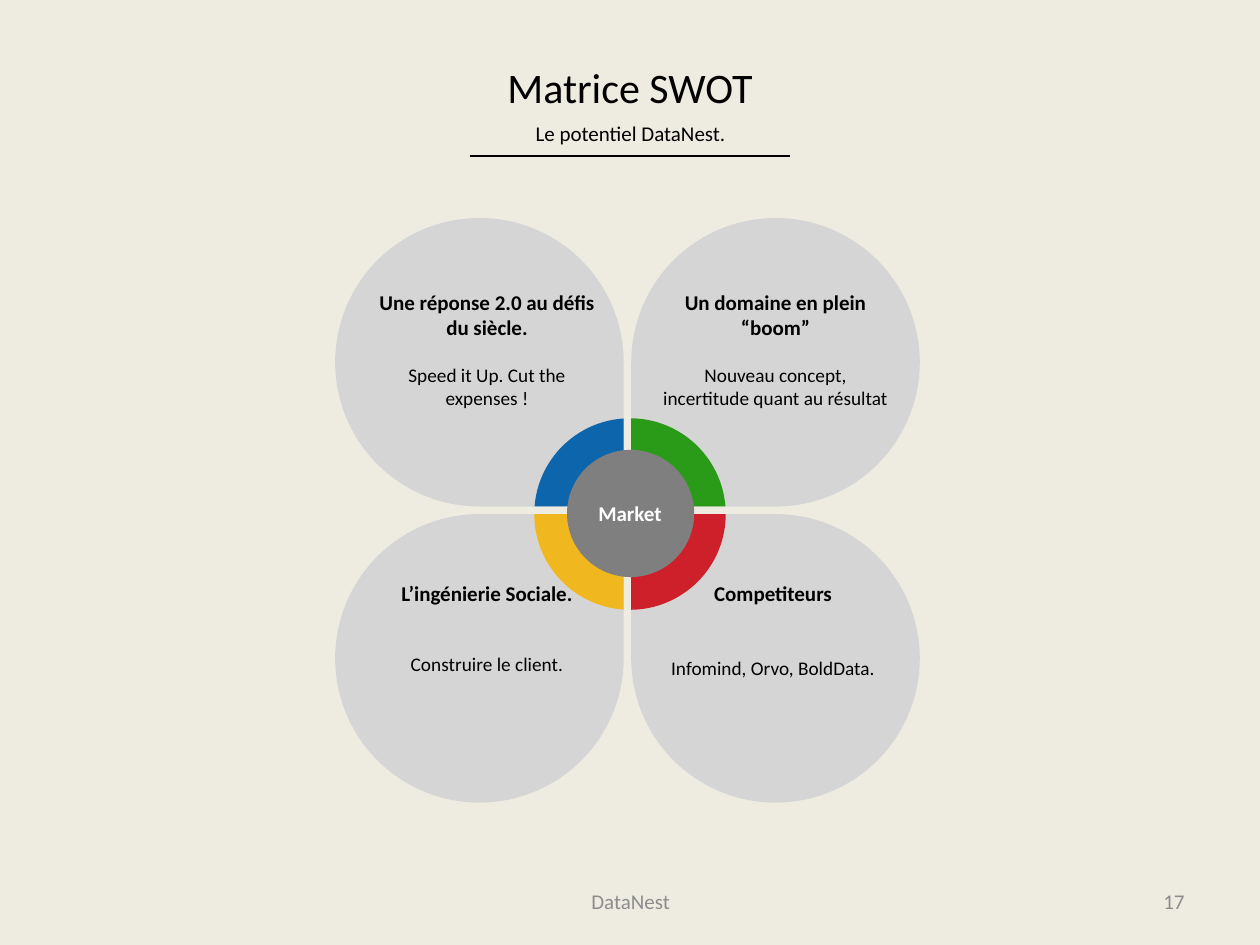
import math
from pptx import Presentation, util as u
from pptx.dml.color import RGBColor
from pptx.enum import shapes, text
from pptx.oxml.ns import qn
from lxml import etree

theme = dict(
    font="Calibri", back="EEECE1", ink="000000", mute="8C8C8C", light="FFFFFF",
    petal="D5D5D5", hub="7F7F7F",
    blue="0D65AC", green="2A9B18", gold="F0B71F", red="CE202A",
    title=24, head=12, body=11,
)
mid, top = text.MSO_ANCHOR.MIDDLE, text.MSO_ANCHOR.TOP
left, center, right = text.PP_ALIGN.LEFT, text.PP_ALIGN.CENTER, text.PP_ALIGN.RIGHT
grow, fix = text.MSO_AUTO_SIZE.SHAPE_TO_FIT_TEXT, text.MSO_AUTO_SIZE.NONE

deck = Presentation()
deck.slide_width, deck.slide_height = u.Inches(10), u.Inches(7.5)
slide = deck.slides.add_slide(deck.slide_layouts[6])
slide.background.fill.solid()
slide.background.fill.fore_color.rgb = RGBColor.from_string(theme["back"])


def write(box, lines, anchor=top, wrap=True, align=center, fit=grow):
    frame = slide.shapes.add_textbox(*map(u.Inches, box)).text_frame
    for key, val in dict(word_wrap=wrap, vertical_anchor=anchor, auto_size=fit).items():
        setattr(frame, key, val)
    for i, (words, size, tone, bold, form) in enumerate(lines):
        para = frame.add_paragraph() if i else frame.paragraphs[0]
        for key, val in dict(form, alignment=align).items():
            setattr(para, key, val)
        run = para.add_run()
        run.text = words
        for key, val in dict(name=theme["font"], size=u.Pt(theme[size]), bold=bold).items():
            setattr(run.font, key, val)
        run.font.color.rgb = RGBColor.from_string(theme[tone])


def paint(shape, tone):
    shape.shadow.inherit = False
    shape.fill.solid()
    shape.fill.fore_color.rgb = RGBColor.from_string(theme[tone])
    shape.line.fill.background()


rule = slide.shapes.add_connector(
    shapes.MSO_CONNECTOR.STRAIGHT, *map(u.Inches, (3.73, 1.24, 6.27, 1.24)))
rule.line.width = u.Pt(1)
rule.line.color.rgb = RGBColor.from_string(theme["ink"])
etree.SubElement(rule._element.spPr, qn("a:effectLst"))

write((0.69, 0.95, 8.63, 0.27),
      [("Le potentiel DataNest.", "head", "ink", False, dict(line_spacing=0.8))])
write((7.17, 6.95, 2.33, 0.4), [("17", "head", "mute", False, {})], mid, align=right, fit=fix)
write((0.69, 0.44, 8.62, 0.5), [("Matrice SWOT", "title", "ink", False, {})], mid)
write((3.42, 6.95, 3.17, 0.4), [("DataNest", "head", "mute", False, {})], mid, fit=fix)

side = 2.29
petals = [(2.66, 4.08, 0), (2.66, 1.73, 90), (5.01, 4.08, 270), (5.01, 1.73, 180)]
for x, y, turn in petals:
    petal = slide.shapes.add_shape(
        shapes.MSO_SHAPE.TEAR, *map(u.Inches, (x, y, side, side)))
    petal.rotation = turn
    paint(petal, "petal")

notes = [
    (2.87, 2.25, 1.06, "Une réponse 2.0 au défis du siècle.", "Speed it Up. Cut the expenses !", 13.4),
    (5.16, 2.25, 1.06, "Un domaine en plein “boom”",
     "Nouveau concept, incertitude quant au résultat", 13.4),
    (2.87, 4.56, 0.86, "L’ingénierie Sociale.", "Construire le client.", 26.4),
    (5.14, 4.56, 0.89, "Competiteurs", "Infomind, Orvo, BoldData.", 28.8),
]
for x, y, high, head, body, gap in notes:
    write((x, y, 1.99, high), [
        (head, "head", "ink", True, {}),
        (body, "body", "ink", False, dict(space_before=u.Pt(gap))),
    ])

ringx, ringy, rad = 5, 4.08, 0.76
parts = [(4.95, 4.08, -1, 1, "gold"), (5.01, 4.08, 1, 1, "red"),
         (5.01, 4.02, 1, -1, "green"), (4.95, 4.02, -1, -1, "blue")]
for x, y, dx, dy, tone in parts:
    low = math.asin(abs(y - ringy) / rad)
    high = math.acos(abs(x - ringx) / rad)
    pull = 4 / 3 * math.tan((high - low) / 4)
    bend = [(low, 0), (low, pull), (high, -pull), (high, 0)]
    arc = [(u.Inches(ringx + dx * rad * (math.cos(a) - k * math.sin(a))),
            u.Inches(ringy + dy * rad * (math.sin(a) + k * math.cos(a)))) for a, k in bend]
    pen = slide.shapes.build_freeform(u.Inches(x), u.Inches(y))
    pen.add_line_segments(arc, close=True)
    sector = pen.convert_to_shape()
    edges = list(sector._element.iter(qn("a:lnTo")))[1:4]
    curve = etree.Element(qn("a:cubicBezTo"))
    edges[0].addprevious(curve)
    for edge in edges:
        curve.append(edge[0])
        edge.getparent().remove(edge)
    paint(sector, tone)

hub = slide.shapes.add_shape(
    shapes.MSO_SHAPE.OVAL, *map(u.Inches, (4.5, 3.57, 1.01, 1.01)))
paint(hub, "hub")
write((4.65, 3.92, 0.71, 0.3), [("Market", "head", "light", True, {})], wrap=False, align=left)

deck.save("out.pptx")
